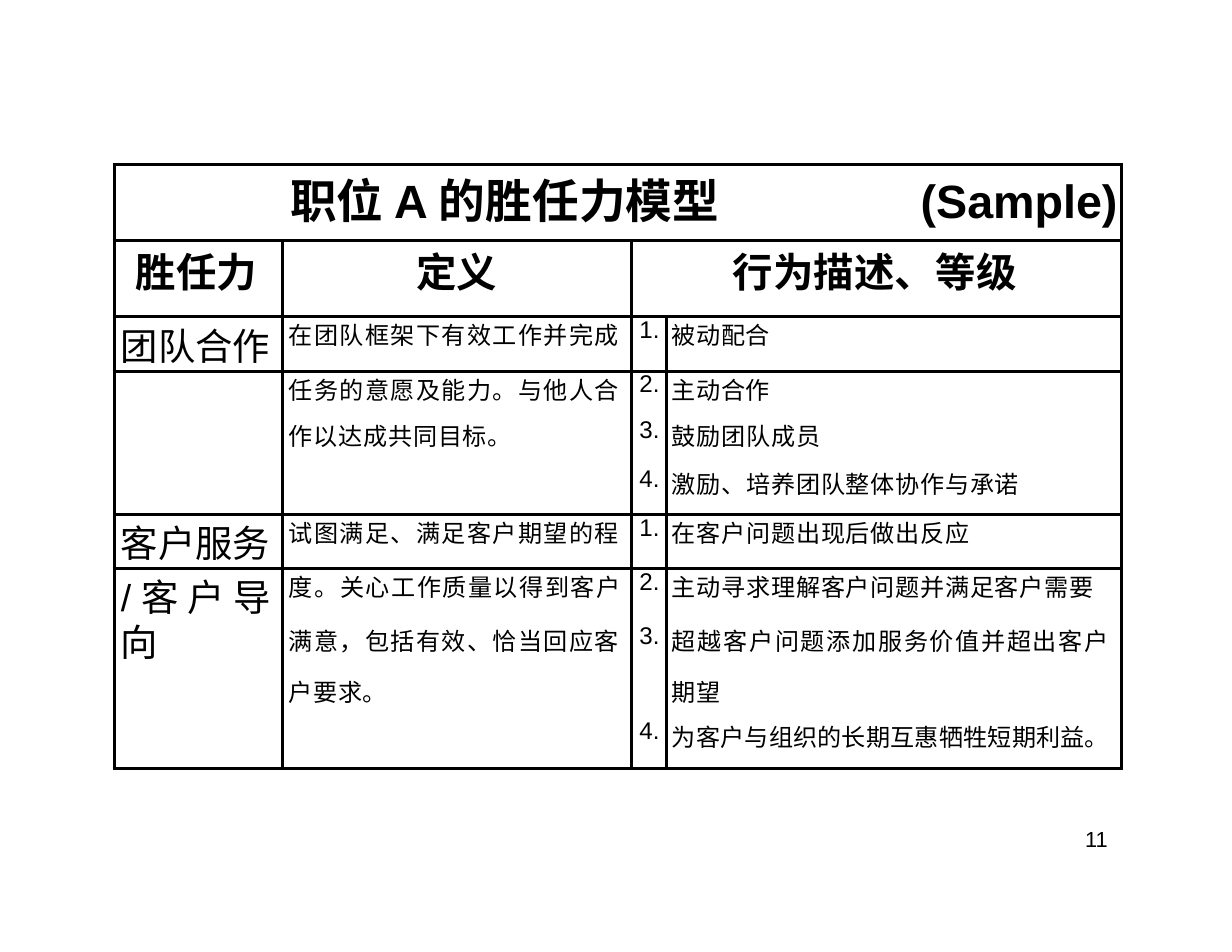
import pptx
import pptx.dml.color
import pptx.enum.text
import pptx.oxml
import pptx.oxml.ns
import pptx.util
from pptx.util import Inches
from lxml import etree

COLORS = {"ink": "000000"}
CJK = "Noto Sans CJK SC"
LATIN = "Arial"
CENTER = pptx.enum.text.PP_ALIGN.CENTER
LINE_WIDTH = pptx.util.Pt(2.16)

COLUMN_WIDTHS = [1.5, 3.12, 0.31, 4.06]
ROW_HEIGHTS = [0.68, 0.68, 0.48, 0.41, 0.43, 0.44, 0.45, 0.44, 0.45, 0.4, 0.45]
RULED_EDGES = {0, 1, 2, 3, 6, 7, 11}
MERGED_EDGES = {0: {0, 4}, 1: {0, 1, 2, 4}}

# space before, competency, (definition, spacing), number, (behaviour, spacing)
BODY = [
    (5.8, "团队合作", ("在团队框架下有效工作并完成", 0.9), "1.", ("被动配合", 0.3)),
    (3.8, "", ("任务的意愿及能力。与他人合", 0.9), "2.", ("主动合作", 0.3)),
    (5.4, "", ("作以达成共同目标。", 0.5), "3.", ("鼓励团队成员", 0.5)),
    (5.4, "", ("", 0), "4.", ("激励、培养团队整体协作与承诺", 0.5)),
    (5.8, "客户服务", ("试图满足、满足客户期望的程", 0.9), "1.", ("在客户问题出现后做出反应", 0.5)),
    (5.8, "/ 客 户 导", ("度。关心工作质量以得到客户", 1), "2.", ("主动寻求理解客户问题并满足客户需要", 0.5)),
    (5.2, "向", ("满意，包括有效、恰当回应客", 0.9), "3.", ("超越客户问题添加服务价值并超出客户", 1.1)),
    (3.6, "", ("户要求。", 0.3), "", ("期望", 0.3)),
    (5.8, "", ("", 0), "4.", ("为客户与组织的长期互惠牺牲短期利益。", 0.13)),
]


def add_run(paragraph, text, size, font=CJK, bold=False, spacing=0):
    run = paragraph.add_run()
    run.text = text
    run.font.size = pptx.util.Pt(size)
    run.font.bold = bold
    run.font.name = font
    run.font.color.rgb = pptx.dml.color.RGBColor.from_string(COLORS["ink"])
    properties = run.font._element
    properties.set("spc", str(round(spacing * 100)))
    east_asian = pptx.oxml.parse_xml(f'<a:ea {pptx.oxml.ns.nsdecls("a")} typeface="{CJK}"/>')
    properties.find(pptx.oxml.ns.qn("a:latin")).addnext(east_asian)


def format_paragraph(paragraph, indent=0, before=0, align=None):
    paragraph.space_before = pptx.util.Pt(before)
    paragraph.alignment = align
    paragraph._p.get_or_add_pPr().set("marL", str(Inches(indent)))


def fill_cell(cell, text, size, indent=0, before=0, align=None, **style):
    paragraph = cell.text_frame.paragraphs[0]
    if text:
        format_paragraph(paragraph, indent, before, align)
        add_run(paragraph, text, size, **style)
    else:
        paragraph.font.size = pptx.util.Pt(12)


def set_borders(cell, sides):
    """Draw each side whose flag is true; sides run left, right, top, bottom."""
    properties = cell._tc.get_or_add_tcPr()
    for index, (name, shown) in enumerate(zip("LRTB", sides)):
        line = etree.Element(pptx.oxml.ns.qn(f"a:ln{name}"), w=str(LINE_WIDTH))
        if shown:
            fill = etree.SubElement(line, pptx.oxml.ns.qn("a:solidFill"))
            etree.SubElement(fill, pptx.oxml.ns.qn("a:srgbClr"), val=COLORS["ink"])
        else:
            etree.SubElement(line, pptx.oxml.ns.qn("a:noFill"))
        properties.insert(index, line)


def format_grid(table):
    for row in range(len(ROW_HEIGHTS)):
        edges = MERGED_EDGES.get(row, set(range(5)))
        for column in range(len(COLUMN_WIDTHS)):
            cell = table.cell(row, column)
            cell.margin_left = cell.margin_right = 0
            cell.margin_top = cell.margin_bottom = 0
            cell.fill.background()
            right = column + (cell.span_width if cell.is_merge_origin else 1)
            set_borders(cell, (column in edges, right in edges,
                               row in RULED_EDGES, row + 1 in RULED_EDGES))


def fill_title(cell):
    paragraph = cell.text_frame.paragraphs[0]
    format_paragraph(paragraph, 1.57, 4.3)
    tabs = etree.SubElement(paragraph._p.get_or_add_pPr(), pptx.oxml.ns.qn("a:tabLst"))
    etree.SubElement(tabs, pptx.oxml.ns.qn("a:tab"), pos=str(Inches(5.63)), algn="l")
    for text, font, spacing in [("职位 ", CJK, 0), ("A ", LATIN, -0.1),
                                ("的胜任力模型\t", CJK, 0.1), ("(Sample)", LATIN, 0)]:
        add_run(paragraph, text, 30, font, True, spacing)


def fill_body_row(table, row, before, competency, definition, number, behaviour):
    name_cell = table.cell(row, 0)
    if competency.startswith("/ "):
        fill_cell(name_cell, "/ ", 24, 0.06, 0.2, font=LATIN)
        add_run(name_cell.text_frame.paragraphs[0], competency[2:], 24)
    else:
        fill_cell(name_cell, competency, 24, 0.06, 0.2)
    if competency == "向":
        paragraph = name_cell.text_frame.paragraphs[0]
        paragraph.space_before = pptx.util.Pt(0)
        paragraph.line_spacing = pptx.util.Pt(28.4)
    fill_cell(table.cell(row, 1), definition[0], 15.5, 0.06, before, spacing=definition[1])
    fill_cell(table.cell(row, 2), number, 15.5, 0.01, before, CENTER, font=LATIN, spacing=0.1)
    fill_cell(table.cell(row, 3), behaviour[0], 15.5, 0.05, before, spacing=behaviour[1])


def add_competency_table(slide, left, top):
    shape = slide.shapes.add_table(
        len(ROW_HEIGHTS), len(COLUMN_WIDTHS), Inches(left), Inches(top),
        Inches(sum(COLUMN_WIDTHS)), Inches(sum(ROW_HEIGHTS)))
    table = shape.table
    table.first_row = table.horz_banding = False
    for column, width in zip(table.columns, COLUMN_WIDTHS):
        column.width = Inches(width)
    for row, height in zip(table.rows, ROW_HEIGHTS):
        row.height = Inches(height)
    table.cell(0, 0).merge(table.cell(0, 3))
    table.cell(1, 2).merge(table.cell(1, 3))
    format_grid(table)

    fill_title(table.cell(0, 0))
    headings = [("胜任力", 0.19, None), ("定义", 0, CENTER), ("行为描述、等级", 0.9, None)]
    for column, (text, indent, align) in enumerate(headings):
        fill_cell(table.cell(1, column), text, 26, indent, 6.8, align, bold=True, spacing=0.1)
    for row, content in enumerate(BODY, start=2):
        fill_body_row(table, row, *content)


def add_page_number(slide, left, top, width, height):
    box = slide.shapes.add_textbox(Inches(left), Inches(top), Inches(width), Inches(height))
    frame = box.text_frame
    frame.word_wrap = True
    frame.margin_left = frame.margin_right = frame.margin_top = frame.margin_bottom = 0
    paragraph = frame.paragraphs[0]
    format_paragraph(paragraph, 0.03)
    paragraph.line_spacing = pptx.util.Pt(15.1)
    add_run(paragraph, "11", 14, LATIN, spacing=-0.1)


def main():
    presentation = pptx.Presentation()
    presentation.slide_width = Inches(11)
    presentation.slide_height = Inches(8.5)
    slide = presentation.slides.add_slide(presentation.slide_layouts[6])
    add_competency_table(slide, 1.02, 1.47)
    add_page_number(slide, 9.66, 7.4, 0.27, 0.22)
    presentation.save("out.pptx")


if __name__ == "__main__":
    main()
